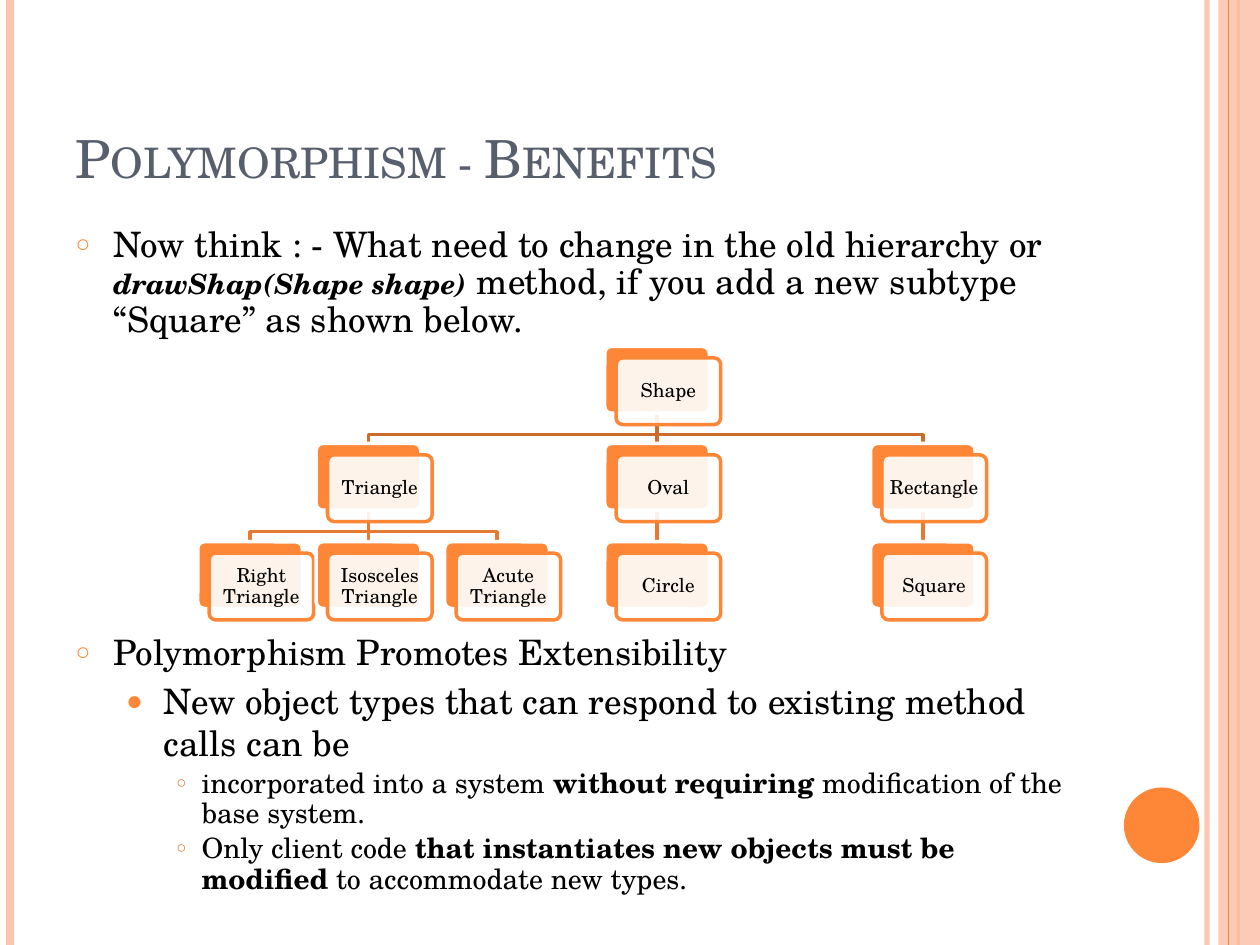
from dataclasses import dataclass
from typing import Optional

from lxml.etree import SubElement
from pptx import Presentation
from pptx.dml.color import RGBColor
from pptx.enum.shapes import MSO_CONNECTOR, MSO_SHAPE
from pptx.enum.text import MSO_ANCHOR, MSO_AUTO_SIZE, PP_ALIGN
from pptx.oxml.ns import qn
from pptx.util import Inches, Pt

FONT = "TeX Gyre Schola"
COLORS = {
    "accent": "FE8637",
    "pale": "FEC3AE",
    "title": "575F6D",
    "text": "000000",
    "white": "FFFFFF",
    "deep_bullet": "E0752F",
    "upper_link": "CB6B2C",
    "lower_link": "E77A32",
}
CARD_WIDTH, CARD_HEIGHT, CARD_OFFSET = 0.83, 0.53, 0.09
ROW_TOPS = (2.75, 3.52, 4.3)
LINK_DROP = 0.17


@dataclass(frozen=True)
class Stripe:
    x: float
    color: str
    width: float
    opacity: int = 100


@dataclass(frozen=True)
class Node:
    label: str
    left: float
    row: int
    parent: Optional["Node"] = None

    @property
    def center(self) -> float:
        return self.left + CARD_WIDTH / 2

    @property
    def top(self) -> float:
        return ROW_TOPS[self.row]


@dataclass(frozen=True)
class Piece:
    text: str
    size: int = 20
    bold: bool = False
    italic: bool = False


@dataclass(frozen=True)
class Level:
    margin: float
    hanging: float
    bullet: str
    bullet_color: str
    bullet_percent: int


@dataclass(frozen=True)
class Point:
    level: int
    pieces: tuple[Piece, ...]
    line_spacing: float = 1.0
    space_before: int = 0


LEVELS = (
    Level(0.3, 0.3, "○", "accent", 70),
    Level(0.7, 0.3, "●", "accent", 80),
    Level(1.0, 0.2, "○", "deep_bullet", 60),
)
POINTS = (
    Point(0, (
        Piece("Now think : - What need to change in the old hierarchy or "),
        Piece("drawShap(Shape shape)", 16, True, True),
        Piece(" method, if you add a new subtype “Square” as shown below."),
    ), 0.9),
    Point(0, (Piece("Polymorphism Promotes Extensibility"),), 1.0, 166),
    Point(1, (Piece("New object types that can respond to existing method calls can be"),), 1.0, 4),
    Point(2, (
        Piece("incorporated into a system ", 16),
        Piece("without requiring", 16, True),
        Piece(" modification of the base system.", 16),
    ), 0.9, 3),
    Point(2, (
        Piece("Only client code ", 16),
        Piece("that instantiates new objects must be modified", 16, True),
        Piece(" to accommodate new types.", 16),
    ), 0.9, 3),
)

ROOT = Node("Shape", 4.8, 0)
TRIANGLE = Node("Triangle", 2.51, 1, ROOT)
OVAL = Node("Oval", 4.8, 1, ROOT)
RECTANGLE = Node("Rectangle", 6.91, 1, ROOT)
NODES = (
    ROOT, TRIANGLE, OVAL, RECTANGLE,
    Node("Right Triangle", 1.57, 2, TRIANGLE),
    Node("Isosceles Triangle", 2.51, 2, TRIANGLE),
    Node("Acute Triangle", 3.53, 2, TRIANGLE),
    Node("Circle", 4.8, 2, OVAL),
    Node("Square", 6.91, 2, RECTANGLE),
)


def rgb(name: str) -> RGBColor:
    return RGBColor.from_string(COLORS[name])


def set_opacity(shape, percent: int) -> None:
    color = shape._element.spPr.find(".//" + qn("a:srgbClr"))
    SubElement(color, qn("a:alpha"), val=str(percent * 1000))


def style_font(font, size: float, color: str) -> None:
    font.name = FONT
    font.size = Pt(size)
    font.color.rgb = rgb(color)


def add_line(slide, x: float, top: float, bottom: float, color: str, width: float):
    line = slide.shapes.add_connector(
        MSO_CONNECTOR.STRAIGHT, Inches(x), Inches(top), Inches(x), Inches(bottom))
    line.line.color.rgb = rgb(color)
    line.line.width = Pt(width)
    SubElement(line._element.spPr, qn("a:effectLst"))
    return line


def add_filled(slide, kind, left: float, top: float, width: float, height: float,
               fill: str, outline: Optional[str] = None):
    shape = slide.shapes.add_shape(
        kind, Inches(left), Inches(top), Inches(width), Inches(height))
    shape.shadow.inherit = False
    shape.fill.solid()
    shape.fill.fore_color.rgb = rgb(fill)
    if outline:
        shape.line.color.rgb = rgb(outline)
        shape.line.width = Pt(2)
    else:
        shape.line.fill.background()
    return shape


def add_stripe(slide, stripe: Stripe) -> None:
    line = add_line(slide, stripe.x, 0, 7.5, stripe.color, stripe.width)
    if stripe.opacity < 100:
        set_opacity(line, stripe.opacity)


def add_link(slide, parent: Node, child: Node) -> None:
    color = "upper_link" if parent.row == 0 else "lower_link"
    start = parent.top + CARD_HEIGHT
    if parent.center == child.center:
        add_line(slide, child.center, start, child.top, color, 2)
        return
    bend = start + LINK_DROP
    builder = slide.shapes.build_freeform(Inches(parent.center), Inches(start))
    corners = ((parent.center, bend), (child.center, bend), (child.center, child.top))
    builder.add_line_segments([(Inches(x), Inches(y)) for x, y in corners], close=False)
    link = builder.convert_to_shape()
    link.shadow.inherit = False
    link.fill.background()
    link.line.color.rgb = rgb(color)
    link.line.width = Pt(2)


def add_card(slide, node: Node) -> None:
    for offset, fill, outline in ((0, "accent", "white"), (CARD_OFFSET, "white", "accent")):
        card = add_filled(slide, MSO_SHAPE.ROUNDED_RECTANGLE, node.left + offset,
                          node.top + offset, CARD_WIDTH, CARD_HEIGHT, fill, outline)
        card.adjustments[0] = 0.1
    set_opacity(card, 90)
    frame = card.text_frame
    frame.text = node.label
    frame.word_wrap = True
    frame.vertical_anchor = MSO_ANCHOR.MIDDLE
    frame.margin_left = frame.margin_right = Inches(0.01)
    frame.margin_top = frame.margin_bottom = Inches(0.05)
    label = frame.paragraphs[0]
    label.alignment = PP_ALIGN.CENTER
    label.line_spacing = 0.9
    style_font(label.runs[0].font, 11, "text")


def write_point(paragraph, point: Point) -> None:
    level = LEVELS[point.level]
    paragraph.level = point.level
    properties = paragraph._p.get_or_add_pPr()
    properties.set("marL", str(Inches(level.margin)))
    properties.set("indent", str(-Inches(level.hanging)))
    bullet_color = SubElement(properties, qn("a:buClr"))
    SubElement(bullet_color, qn("a:srgbClr"), val=COLORS[level.bullet_color])
    SubElement(properties, qn("a:buSzPct"), val=str(level.bullet_percent * 1000))
    SubElement(properties, qn("a:buChar"), char=level.bullet)
    paragraph.line_spacing = point.line_spacing
    paragraph.space_before = Pt(point.space_before)
    for piece in point.pieces:
        run = paragraph.add_run()
        run.text = piece.text
        style_font(run.font, piece.size, "text")
        run.font.bold = piece.bold
        run.font.italic = piece.italic


def place(holder, top: float, height: float, anchor) -> None:
    holder.left, holder.top = Inches(0.5), Inches(top)
    holder.width, holder.height = Inches(8.17), Inches(height)
    holder.text_frame.word_wrap = True
    holder.text_frame.auto_size = MSO_AUTO_SIZE.NONE
    holder.text_frame.vertical_anchor = anchor


def main() -> None:
    deck = Presentation()
    deck.slide_width, deck.slide_height = Inches(10), Inches(7.5)
    slide = deck.slides.add_slide(deck.slide_layouts[1])

    heading, body = slide.placeholders
    place(heading, 0.3, 1.25, MSO_ANCHOR.BOTTOM)
    heading.text_frame.text = "Polymorphism - Benefits"
    heading_line = heading.text_frame.paragraphs[0]
    heading_line.alignment = PP_ALIGN.LEFT
    style_font(heading_line.runs[0].font, 30, "title")
    heading_line.runs[0].font._element.set("cap", "small")

    place(body, 1.75, 5.33, MSO_ANCHOR.TOP)
    for index, point in enumerate(POINTS):
        frame = body.text_frame
        write_point(frame.add_paragraph() if index else frame.paragraphs[0], point)

    for stripe in (Stripe(9.58, "pale", 3, 93), Stripe(0.08, "pale", 4.5),
                   Stripe(9.83, "accent", 1.5)):
        add_stripe(slide, stripe)
    band = add_filled(slide, MSO_SHAPE.RECTANGLE, 9.67, 0, 0.33, 7.5, "pale")
    set_opacity(band, 87)
    add_stripe(slide, Stripe(9.75, "accent", 0.75))
    add_filled(slide, MSO_SHAPE.OVAL, 8.92, 6.25, 0.6, 0.6, "accent")

    for node in NODES:
        if node.parent:
            add_link(slide, node.parent, node)
    for node in NODES:
        add_card(slide, node)
    deck.save("out.pptx")


if __name__ == "__main__":
    main()
